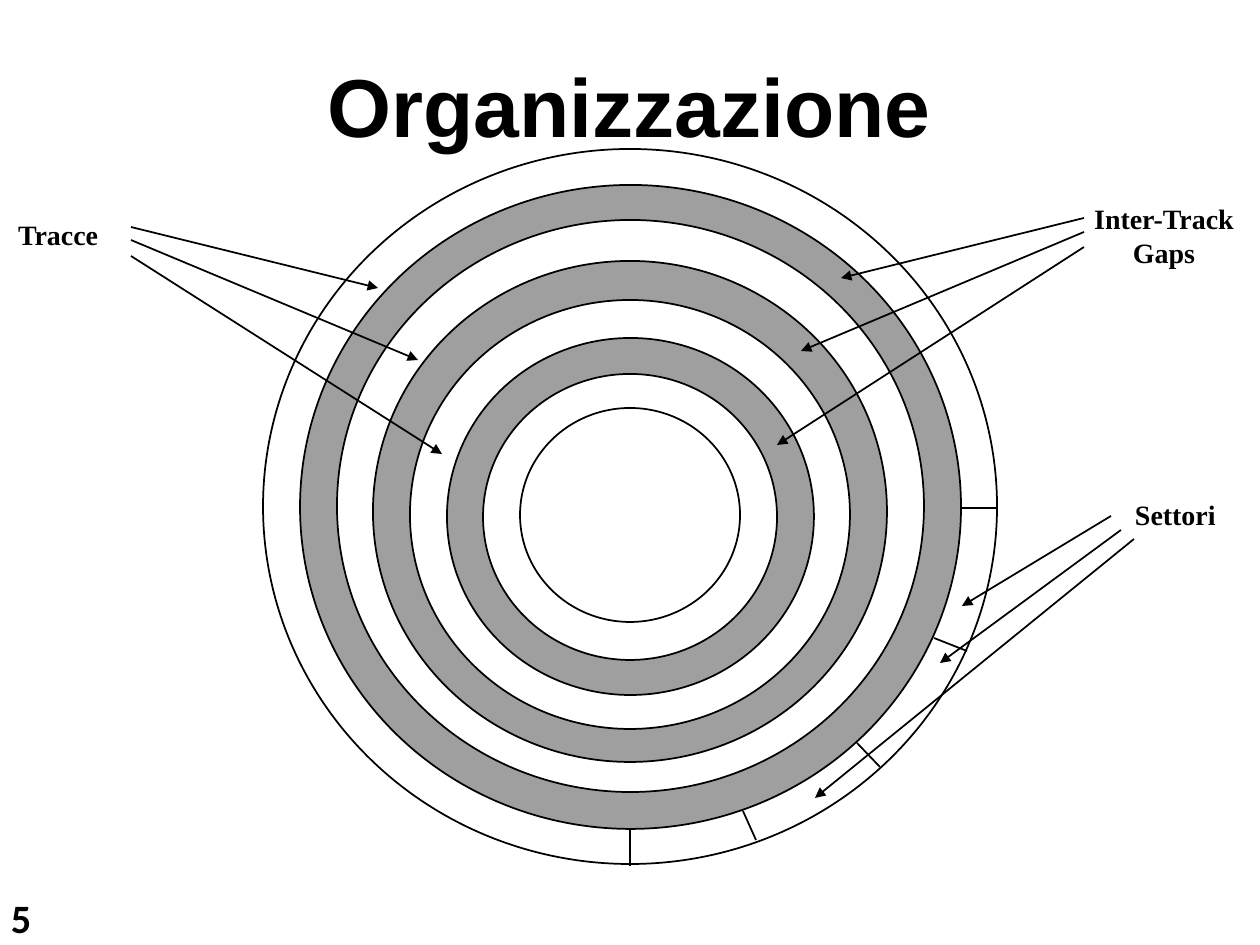
from lxml import etree
from pptx import Presentation
from pptx.dml.color import RGBColor
from pptx.enum.shapes import MSO_CONNECTOR, MSO_SHAPE
from pptx.enum.text import MSO_ANCHOR, MSO_AUTO_SIZE, PP_ALIGN
from pptx.oxml.ns import qn
from pptx.util import Emu, Pt

STRAIGHT = MSO_CONNECTOR.STRAIGHT
OVAL = MSO_SHAPE.OVAL
TOP = MSO_ANCHOR.TOP
NO_FIT = MSO_AUTO_SIZE.NONE
LEFT, CENTER, JUSTIFY = PP_ALIGN.LEFT, PP_ALIGN.CENTER, PP_ALIGN.JUSTIFY

EMU_PER_PX = 914400 / 126
BLACK, WHITE, GREY = "000000", "FFFFFF", "9F9F9F"


def px(length):
    return Emu(round(length * EMU_PER_PX))


def color(code):
    return RGBColor.from_string(code)


class DiskSlide:
    label_font = "Times New Roman"
    title_font = "Arial"
    number_font = "Calibri"
    line_width = Pt(1)

    def __init__(self, deck):
        self.slide = deck.slides.add_slide(deck.slide_layouts[5])

    def set_text(self, frame, lines, font, size, align, insets, spacing=1.0, before=0):
        frame.word_wrap = False
        frame.auto_size = NO_FIT
        frame.vertical_anchor = TOP
        side, top, bottom = insets
        frame.margin_left = frame.margin_right = px(side)
        frame.margin_top, frame.margin_bottom = px(top), px(bottom)
        for index, line in enumerate(lines):
            paragraph = frame.add_paragraph() if index else frame.paragraphs[0]
            paragraph.alignment = align
            paragraph.line_spacing = spacing
            paragraph.space_before = Pt(before)
            run = paragraph.add_run()
            run.text = line
            run.font.name = font
            run.font.size = Pt(size)
            run.font.bold = True
            run.font.color.rgb = color(BLACK)

    def title(self, text, left, top, width, height):
        heading = self.slide.shapes.title
        heading.left, heading.top = px(left), px(top)
        heading.width, heading.height = px(width), px(height)
        self.set_text(heading.text_frame, [text], self.title_font, 47, CENTER, (6, 10, 3))

    def text_box(self, left, top, width, height):
        box = self.slide.shapes.add_textbox(px(left), px(top), px(width), px(height))
        return box.text_frame

    def label(self, lines, box, align=JUSTIFY, spacing=0.9):
        self.set_text(self.text_box(*box), lines, self.label_font, 16, align,
                      (12, 6, 6), spacing, 8)

    def number(self, text, box):
        self.set_text(self.text_box(*box), [text], self.number_font, 23, LEFT, (6, 3, 3))

    def ring(self, left, top, width, height, fill):
        ring = self.slide.shapes.add_shape(OVAL, px(left), px(top), px(width), px(height))
        ring.shadow.inherit = False
        ring.line.color.rgb = color(BLACK)
        ring.line.width = self.line_width
        if fill:
            ring.fill.solid()
            ring.fill.fore_color.rgb = color(fill)
        else:
            ring.fill.background()

    def line(self, start, end, arrow=False):
        line = self.slide.shapes.add_connector(STRAIGHT, *map(px, start + end))
        line.line.color.rgb = color(BLACK)
        line.line.width = self.line_width
        properties = line._element.spPr
        if arrow:
            etree.SubElement(properties.find(qn("a:ln")), qn("a:tailEnd"), type="triangle")
        etree.SubElement(properties, qn("a:effectLst"))

    def arrows(self, pairs):
        for start, tip in pairs:
            self.line(start, tip, arrow=True)


def main():
    deck = Presentation()
    deck.slide_width, deck.slide_height = px(1260), px(945)
    disk = DiskSlide(deck)

    disk.number("5", (5, 890, 62, 54))
    disk.title("Organizzazione", 74, 45, 1111, 219)

    sector_borders = [
        ((960, 508), (996, 508)),
        ((934, 638), (967, 651)),
        ((857, 743), (880, 767)),
        ((743, 811), (756, 840)),
        ((630, 830), (630, 866)),
    ]
    for inner, outer in sector_borders:
        disk.line(inner, outer)

    disk.arrows([
        ((1111, 516), (962, 606)),
        ((1121, 530), (940, 663)),
        ((1134, 539), (815, 798)),
    ])
    disk.label(["Settori"], (1123, 495, 107, 39))

    center_x, outer_width, width_step, aspect = 630, 734, 73.4, 0.974
    ring_tops = [149, 185, 220, 261, 300, 338, 374, 408]
    ring_fills = [None, GREY, WHITE, GREY, WHITE, GREY, WHITE, None]
    for index, (top, fill) in enumerate(zip(ring_tops, ring_fills)):
        width = round(outer_width - index * width_step)
        disk.ring(center_x - width // 2, top, width, round(width * aspect), fill)

    gap_tips = [(841, 278), (801, 351), (777, 445)]
    disk.arrows(zip([(1084, 218), (1084, 232), (1084, 247)], gap_tips))
    disk.label(["Inter-Track", "Gaps"], (1081, 207, 166, 64), CENTER, 0.6)

    track_tips = [(378, 288), (418, 360), (442, 454)]
    disk.arrows(zip([(131, 227), (131, 240), (131, 256)], track_tips))
    disk.label(["Tracce"], (6, 215, 106, 39))

    deck.save("out.pptx")


if __name__ == "__main__":
    main()
